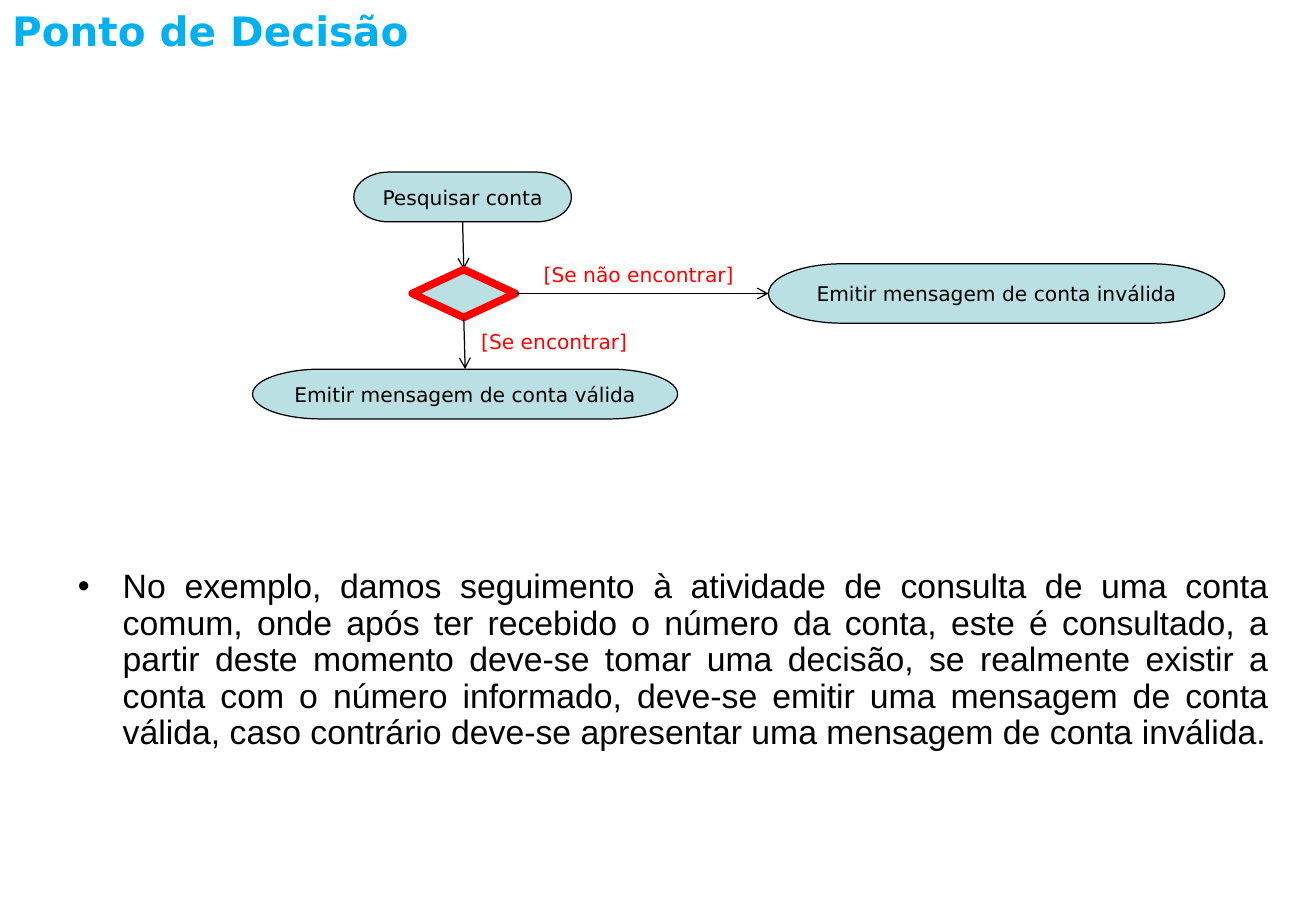
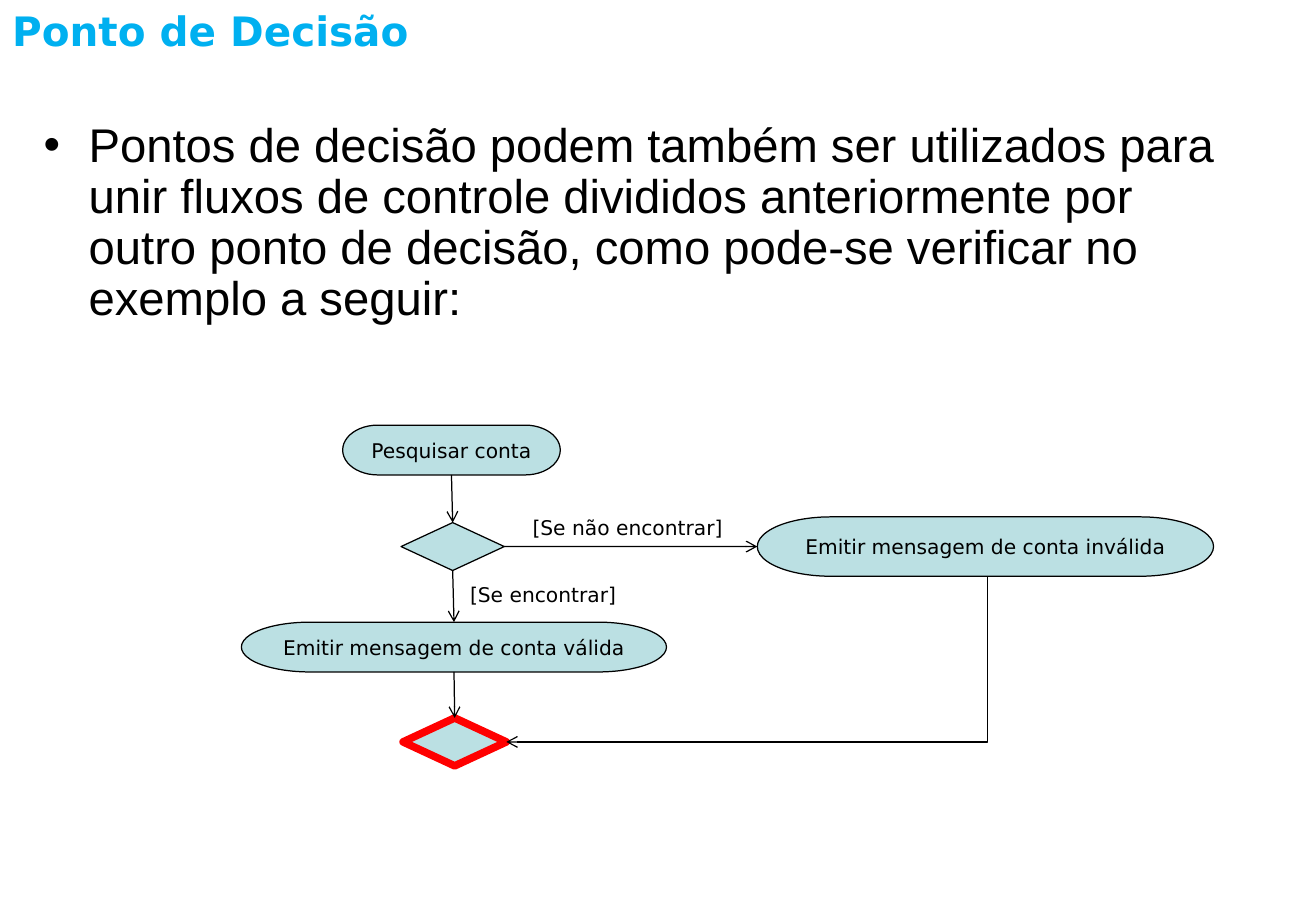
import pptx
import pptx.util
import pptx.dml.color
import pptx.enum.shapes
import pptx.enum.text
import pptx.oxml
import pptx.oxml.ns

Pt = pptx.util.Pt
MSO = pptx.enum.shapes.MSO_SHAPE
CONN = pptx.enum.shapes.MSO_CONNECTOR
ALIGN = pptx.enum.text.PP_ALIGN
ANCHOR = pptx.enum.text.MSO_ANCHOR
SIZE = pptx.enum.text.MSO_AUTO_SIZE

# Shared style
COLORS = {"title": "00B0F0", "text": "000000", "fill": "BBE0E3",
          "line": "000000", "accent": "FF0000"}
HEAD_FONT, BODY_FONT = "DejaVu Sans", "Arial"
TITLE_BOX = (0, 0, 520, 36)
BODY_SIZE = (706.3, 124.6)
INDENT = 26.64
TOP, LEFT, BOTTOM, RIGHT = range(4)

# Content: diagram parts are placed relative to the diagram's origin
TITLE = "Ponto de Decisão"
NODES = {
    "search": (MSO.FLOWCHART_TERMINATOR, "Pesquisar conta", (0, 0, 129, 29.5)),
    "invalid": (MSO.FLOWCHART_TERMINATOR, "Emitir mensagem de conta inválida",
                (245.8, 54.4, 270.4, 35.2)),
    "valid": (MSO.FLOWCHART_TERMINATOR, "Emitir mensagem de conta válida",
              (-60, 116.8, 252, 29.5)),
    "decision": (MSO.FLOWCHART_DECISION, "", (34.6, 57.8, 61.2, 28.4)),
    "merge": (MSO.FLOWCHART_DECISION, "", (35.8, 173.6, 61.2, 28.4)),
}
ARROWS = [("search", BOTTOM, "decision", TOP), ("decision", BOTTOM, "valid", TOP),
          ("decision", RIGHT, "invalid", LEFT), ("valid", BOTTOM, "merge", TOP),
          ("invalid", BOTTOM, "merge", RIGHT)]
LABELS = [("[Se não encontrar]", (104.4, 50, 129, 21.6)),
          ("[Se encontrar]", (67.7, 89.6, 102.2, 21.6))]
SLIDES = [
    {"body": "No exemplo, damos seguimento à atividade de consulta de uma conta "
             "comum, onde após ter recebido o número da conta, este é consultado, "
             "a partir deste momento deve-se tomar uma decisão, se realmente "
             "existir a conta com o número informado, deve-se emitir uma mensagem "
             "de conta válida, caso contrário deve-se apresentar uma mensagem de "
             "conta inválida.",
     "at": (46.1, 337.7), "size": 20, "align": ALIGN.JUSTIFY,
     "origin": (209.7, 102), "nodes": ["search", "invalid", "valid", "decision"],
     "marked": "decision", "label": "accent"},
    {"body": "Pontos de decisão podem também ser utilizados para unir fluxos de "
             "controle divididos anteriormente por outro ponto de decisão, como "
             "pode-se verificar no exemplo a seguir:",
     "at": (25.9, 72), "size": 28, "align": ALIGN.LEFT,
     "origin": (203.1, 252), "nodes": list(NODES),
     "marked": "merge", "label": "text"},
]


def rgb(name):
    return pptx.dml.color.RGBColor.from_string(COLORS[name])


def place(sp, box):
    sp.left, sp.top, sp.width, sp.height = (Pt(v) for v in box)


def shifted(box, origin):
    x, y, w, h = box
    return x + origin[0], y + origin[1], w, h


def write(tf, text, size, font, color, align, bold=False):
    p = tf.paragraphs[0]
    p.alignment = align
    p.space_before = Pt(0)
    r = p.add_run()
    r.text = text
    r.font.size, r.font.name, r.font.bold = Pt(size), font, bold
    r.font.color.rgb = rgb(color)
    return p


def add_title(s):
    sp = s.shapes.title
    place(sp, TITLE_BOX)
    tf = sp.text_frame
    tf.vertical_anchor, tf.auto_size = ANCHOR.TOP, SIZE.NONE
    write(tf, TITLE, 24, HEAD_FONT, "title", ALIGN.LEFT, True)


def add_body(s, data):
    sp = s.placeholders[1]
    place(sp, data["at"] + BODY_SIZE)
    tf = sp.text_frame
    tf.auto_size = SIZE.NONE
    tf.margin_left = tf.margin_top = tf.margin_right = tf.margin_bottom = 0
    p = write(tf, data["body"], data["size"], BODY_FONT, "text", data["align"])
    p.line_spacing = 0.9
    pPr = p._p.get_or_add_pPr()
    pPr.set("marL", str(Pt(INDENT)))
    pPr.set("indent", str(-Pt(INDENT)))
    ns = pptx.oxml.ns.nsdecls("a")
    pPr.append(pptx.oxml.parse_xml(
        f'<a:buClr {ns}><a:srgbClr val="{COLORS["text"]}"/></a:buClr>'))
    pPr.append(pptx.oxml.parse_xml(f'<a:buChar {ns} char="•"/>'))


def add_node(s, key, origin, marked):
    kind, text, box = NODES[key]
    sp = s.shapes.add_shape(kind, *(Pt(v) for v in shifted(box, origin)))
    sp.shadow.inherit = False
    sp.fill.solid()
    sp.fill.fore_color.rgb = rgb("fill")
    sp.line.color.rgb = rgb("accent" if marked else "line")
    sp.line.width = Pt(4.5 if marked else 0.75)
    if text:
        sp.text_frame.word_wrap = False
        sp.text_frame.vertical_anchor = ANCHOR.MIDDLE
        write(sp.text_frame, text, 12, HEAD_FONT, "text", ALIGN.CENTER)
    return sp


def add_arrow(s, start, start_side, end, end_side):
    elbow = start_side == BOTTOM and end_side == RIGHT
    c = s.shapes.add_connector(CONN.ELBOW if elbow else CONN.STRAIGHT, 0, 0, 0, 0)
    c.begin_connect(start, start_side)
    c.end_connect(end, end_side)
    c.line.color.rgb = rgb("line")
    c.line.width = Pt(0.75)
    ns = pptx.oxml.ns.nsdecls("a")
    c.line._get_or_add_ln().append(
        pptx.oxml.parse_xml(f'<a:tailEnd {ns} type="arrow"/>'))
    spPr = c.element.spPr
    spPr.append(pptx.oxml.parse_xml(f"<a:effectLst {ns}/>"))
    if elbow:  # drop straight down, then run left
        geom = spPr.find(pptx.oxml.ns.qn("a:prstGeom"))
        geom.find(pptx.oxml.ns.qn("a:avLst")).append(
            pptx.oxml.parse_xml(f'<a:gd {ns} name="adj1" fmla="val -500"/>'))
    return c


def add_diagram(s, data):
    origin = data["origin"]
    nodes = {k: add_node(s, k, origin, k == data["marked"]) for k in data["nodes"]}
    for start, a, end, b in ARROWS:
        if start in nodes and end in nodes:
            c = add_arrow(s, nodes[start], a, nodes[end], b)
            if end == "decision":  # the diamond covers the arrow tip
                c.element.addnext(nodes[end].element)
    for text, box in LABELS:
        tb = s.shapes.add_textbox(*(Pt(v) for v in shifted(box, origin)))
        tb.text_frame.word_wrap = False
        write(tb.text_frame, text, 12, HEAD_FONT, data["label"], ALIGN.CENTER)


def main():
    prs = pptx.Presentation()
    prs.slide_width, prs.slide_height = Pt(780), Pt(540)
    for data in SLIDES:
        s = prs.slides.add_slide(prs.slide_layouts[1])
        add_title(s)
        add_body(s, data)
        add_diagram(s, data)
    prs.save("out.pptx")


if __name__ == "__main__":
    main()
